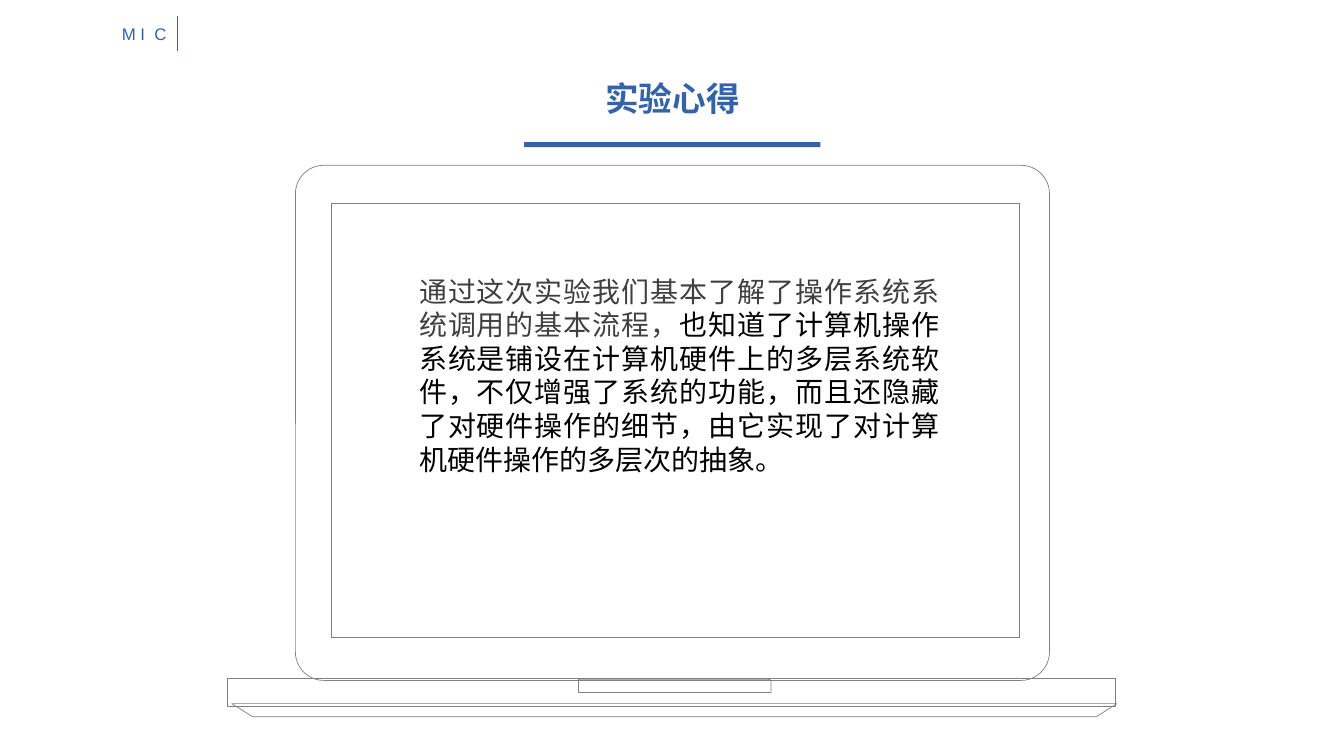
"""Builds a slide with closing reflections shown on a laptop outline."""
from lxml import etree
from pptx import Presentation
from pptx import util as u
from pptx.dml.color import RGBColor
from pptx.enum import shapes, text
from pptx.oxml.ns import qn

BLUE, GREY, WHITE, BLACK, DARK = "3563A8", "808080", "FFFFFF", "000000", "404040"
KIND = shapes.MSO_SHAPE
ALIGN = text.PP_ALIGN
PAGE_SIZE = (960, 540)

UNDERLINE = (374.4, 101.5, 211.7, 3.6)
LAPTOP = [
    (KIND.ROUNDED_RECTANGLE, (211, 118.1, 538.6, 367.9), WHITE, 0.055, 0),
    (KIND.RECTANGLE, (236.9, 145.4, 491, 309.6), WHITE, None, 0),
    (KIND.RECTANGLE, (162.7, 484.6, 634.3, 20.2), None, None, 0),
    (KIND.TRAPEZOID, (165.6, 502.6, 632.2, 9.4), None, 1.577, 180),
    (KIND.ROUND_1_RECTANGLE, (413.3, 485.3, 137.5, 9.4), None, None, 0),
]
REFLECTION = [
    ("通过这次实验我们基本了解了操作系统系统调用的基本流程，", DARK),
    ("也知道了计算机操作系统是铺设在计算机硬件上的多层系统软件，不仅增强了系统的功能，"
     "而且还隐藏了对硬件操作的细节，由它实现了对计算机硬件操作的多层次的抽象。", BLACK),
]
TITLE = [("实验心得", BLUE)]
LABEL = [("M I", BLUE), (" ", BLUE), ("C", BLUE)]
LABEL_GAP = 3.33
DIVIDER = (126.7, 11.5, 126.7, 36.7)


def color(value):
    return RGBColor.from_string(value)


def points(values):
    return [u.Pt(value) for value in values]


def add_part(parent, kind, area, fill=None, line=None, adjust=None, turn=0):
    part = parent.add_shape(kind, *points(area))
    part.shadow.inherit = False
    part.rotation = turn
    if adjust is not None:
        part.adjustments[0] = adjust
    if fill:
        part.fill.solid()
        part.fill.fore_color.rgb = color(fill)
    else:
        part.fill.background()
    if line:
        part.line.color.rgb = color(line)
        part.line.width = u.Pt(0.5)
    else:
        part.line.fill.background()


def add_words(parent, area, spans, size, font, align, bold=False, wrap=True):
    box = parent.add_textbox(*points(area))
    frame = box.text_frame
    frame.word_wrap = wrap
    frame.auto_size = text.MSO_AUTO_SIZE.SHAPE_TO_FIT_TEXT
    para = frame.paragraphs[0]
    para.alignment = align
    for words, tint in spans:
        span = para.add_run()
        span.text = words
        span.font.size = u.Pt(size)
        span.font.name = font
        span.font.bold = bold
        span.font.color.rgb = color(tint)
    return para


def main():
    deck = Presentation()
    deck.slide_width, deck.slide_height = points(PAGE_SIZE)
    page = deck.slides.add_slide(deck.slide_layouts[6])

    add_part(page.shapes, KIND.RECTANGLE, UNDERLINE, fill=BLUE)
    laptop = page.shapes.add_group_shape()
    for kind, area, fill, adjust, turn in LAPTOP:
        add_part(laptop.shapes, kind, area, fill, GREY, adjust, turn)

    add_words(page.shapes, (292.3, 192.2, 385.9, 152.6), REFLECTION, 20,
              "Courier New", ALIGN.JUSTIFY)
    add_words(page.shapes, (416.2, 51.8, 128.2, 36), TITLE, 24,
              "Courier New", ALIGN.CENTER, bold=True)

    header = page.shapes.add_group_shape()
    divider = header.shapes.add_connector(shapes.MSO_CONNECTOR.STRAIGHT, *points(DIVIDER))
    divider.line.color.rgb = color(BLUE)
    divider.line.width = u.Pt(0.5)
    etree.SubElement(divider._element.spPr, qn("a:effectLst"))
    label = add_words(header.shapes, (79.9, 13.7, 46.8, 21.6), LABEL, 12,
                      "Arial", ALIGN.LEFT, wrap=False)
    label.runs[1].font._element.set("spc", str(round(LABEL_GAP * 100)))

    deck.save("out.pptx")


if __name__ == "__main__":
    main()
